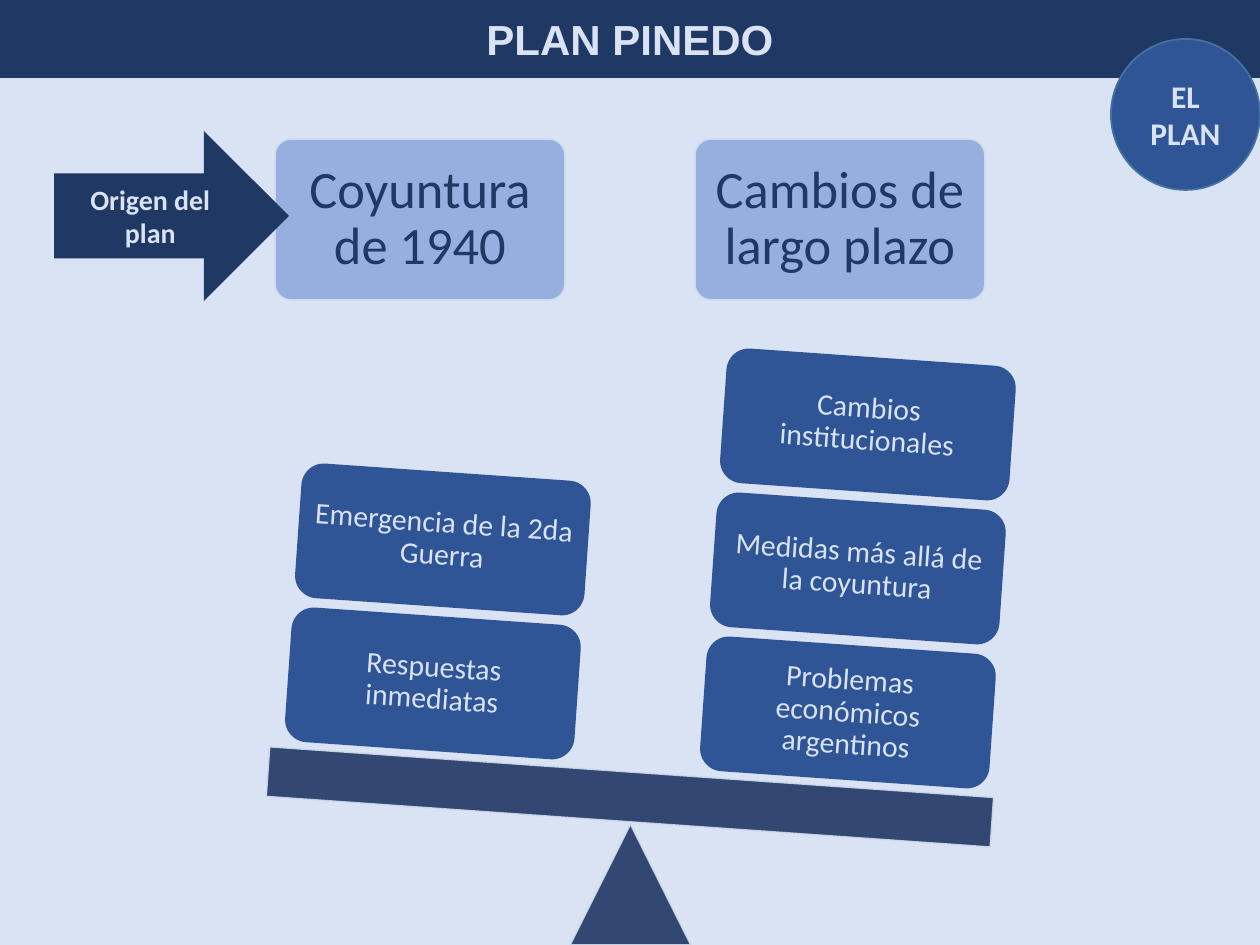
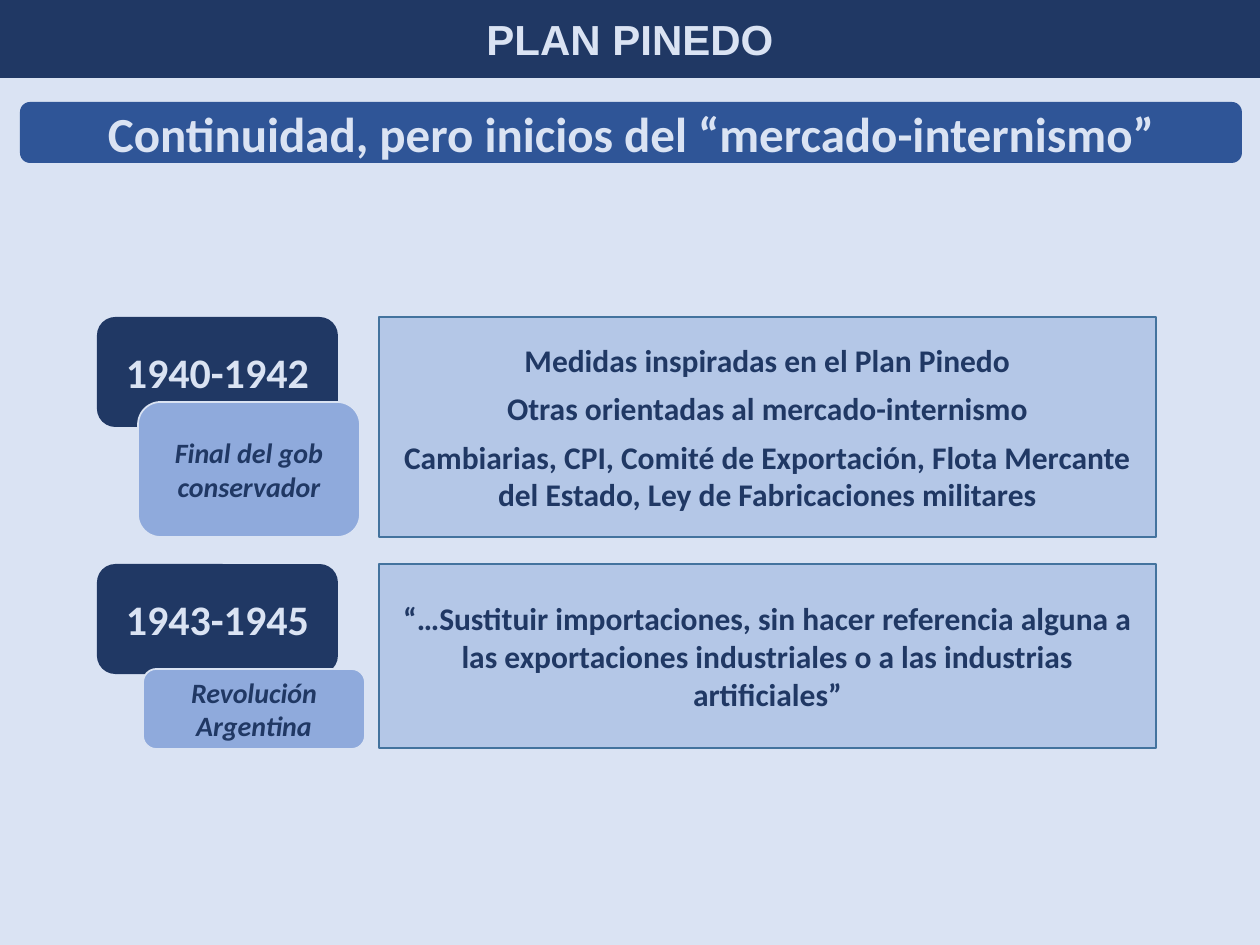
from lxml import etree
from pptx import Presentation
from pptx.dml.color import RGBColor
from pptx.enum.shapes import MSO_SHAPE
from pptx.enum.text import MSO_ANCHOR, MSO_AUTO_SIZE, PP_ALIGN
from pptx.oxml.ns import qn
from pptx.util import Emu, Pt

RECT = MSO_SHAPE.RECTANGLE
ROUND_RECT = MSO_SHAPE.ROUNDED_RECTANGLE
TRIANGLE = MSO_SHAPE.ISOSCELES_TRIANGLE
RIGHT_ARROW = MSO_SHAPE.RIGHT_ARROW
OVAL = MSO_SHAPE.OVAL
MIDDLE = MSO_ANCHOR.MIDDLE
CENTER = PP_ALIGN.CENTER
NO_AUTOFIT = MSO_AUTO_SIZE.NONE

NAVY = RGBColor(0x20, 0x38, 0x64)
BLUE = RGBColor(0x2F, 0x55, 0x97)
SKY = RGBColor(0x8F, 0xAA, 0xDC)
LIGHT = RGBColor(0xB4, 0xC7, 0xE7)
PALE = RGBColor(0xDA, 0xE3, 0xF3)
PALE_EDGE = RGBColor(0xD2, 0xDE, 0xEF)
STEEL = RGBColor(0x43, 0x73, 0x9E)

PX = 914400 / 126
WIDTH, HEIGHT = 1260, 945


def set_text(shape, text, size, color, font="Calibri", bold=True, italic=False,
             inset=(13, 6), line_spacing=None, space_before=0):
    frame = shape.text_frame
    frame.text = text
    frame.word_wrap = True
    frame.auto_size = NO_AUTOFIT
    frame.vertical_anchor = MIDDLE
    frame.margin_left = frame.margin_right = Emu(round(inset[0] * PX))
    frame.margin_top = frame.margin_bottom = Emu(round(inset[1] * PX))
    for i, paragraph in enumerate(frame.paragraphs):
        paragraph.alignment = CENTER
        paragraph.space_before = Pt(space_before if i else 0)
        if line_spacing:
            paragraph.line_spacing = line_spacing
        for run in paragraph.runs:
            run.font.name = font
            run.font.size = Pt(size)
            run.font.bold = bold
            run.font.italic = italic
            run.font.color.rgb = color


def add_block(slide, kind, box, fill, edge=None, opacity=100):
    block = slide.shapes.add_shape(kind, *(Emu(round(n * PX)) for n in box))
    block.shadow.inherit = False
    block.fill.solid()
    block.fill.fore_color.rgb = fill
    if edge:
        block.line.color.rgb = edge
        block.line.width = Pt(1)
    else:
        block.line.fill.background()
    if opacity < 100:
        for color in block._element.spPr.iter(qn("a:srgbClr")):
            etree.SubElement(color, qn("a:alpha"), val=str(opacity * 1000))
    return block


prs = Presentation()
prs.slide_width = Emu(round(WIDTH * PX))
prs.slide_height = Emu(round(HEIGHT * PX))

# Shared background and title band
background = prs.slide_master.background.fill
background.solid()
background.fore_color.rgb = PALE

title_only = prs.slide_layouts[5]
origin_slide = prs.slides.add_slide(title_only)
continuity_slide = prs.slides.add_slide(title_only)
for slide in (origin_slide, continuity_slide):
    title = slide.shapes.title
    title.left, title.top = Emu(0), Emu(0)
    title.width, title.height = prs.slide_width, Emu(round(78 * PX))
    title.fill.solid()
    title.fill.fore_color.rgb = NAVY
    set_text(title, "PLAN PINEDO", 24, PALE, font="Arial")

# Slide 1: headings and the stack of blocks on each side of the balance
TILT = 4
BLOCK_WIDTH, BLOCK_HEIGHT = 290, 135
STEP_X, STEP_Y = 10, 144
balance_sides = [
    ("Coyuntura de 1940", 275, 288, 616,
     ["Respuestas inmediatas", "Emergencia de la 2da Guerra"]),
    ("Cambios de largo plazo", 695, 703, 645,
     ["Problemas económicos argentinos", "Medidas más allá de la coyuntura",
      "Cambios institucionales"]),
]
for heading, heading_left, stack_left, stack_top, weights in balance_sides:
    heading_block = add_block(origin_slide, ROUND_RECT,
                              (heading_left, 139, BLOCK_WIDTH, 161),
                              SKY, PALE_EDGE, 90)
    heading_block.adjustments[0] = 0.1
    set_text(heading_block, heading, 30, NAVY, bold=False, inset=(15, 15),
             line_spacing=0.9)
    for level, weight in enumerate(weights):
        weight_block = add_block(
            origin_slide, ROUND_RECT,
            (stack_left + level * STEP_X, stack_top - level * STEP_Y,
             BLOCK_WIDTH, BLOCK_HEIGHT), BLUE)
        weight_block.rotation = TILT
        set_text(weight_block, weight, 17, PALE, bold=False, inset=(9, 9),
                 line_spacing=0.9)

# Slide 1: fulcrum and beam
add_block(origin_slide, TRIANGLE, (570, 824, 121, 121), NAVY, PALE_EDGE, 90)
beam = add_block(origin_slide, RECT, (267, 772, 726, 50), NAVY, PALE_EDGE, 90)
beam.rotation = TILT

# Slide 1: origin arrow and section badge
origin_arrow = add_block(origin_slide, RIGHT_ARROW, (54, 131, 235, 170), NAVY)
set_text(origin_arrow, "Origen del plan", 16, PALE, inset=(13, 13))
badge = add_block(origin_slide, OVAL, (1111, 39, 149, 151), BLUE, STEEL)
set_text(badge, "EL PLAN", 18, PALE)

# Slide 2: subtitle bar
subtitle = add_block(continuity_slide, ROUND_RECT, (20, 102, 1222, 61), BLUE)
set_text(subtitle, "Continuidad, pero inicios del “mercado-internismo”", 28, PALE)

# Slide 2: one row per period, with its government and its measures
periods = [
    ("1940-1942", 317, 220, "Final del gob conservador", (138, 402, 222, 135),
     "Medidas inspiradas en el Plan Pinedo\n"
     "Otras orientadas al mercado-internismo\n"
     "Cambiarias, CPI, Comité de Exportación, Flota Mercante del Estado, "
     "Ley de Fabricaciones militares"),
    ("1943-1945", 564, 184, "Revolución Argentina", (143, 669, 222, 80),
     "“…Sustituir importaciones, sin hacer referencia alguna a las "
     "exportaciones industriales o a las industrias artificiales”"),
]
for years, top, row_height, government, government_box, measures in periods:
    years_block = add_block(continuity_slide, ROUND_RECT, (97, top, 241, 110), NAVY)
    set_text(years_block, years, 24, PALE)
    government_block = add_block(continuity_slide, ROUND_RECT, government_box,
                                 SKY, PALE)
    set_text(government_block, government, 16, NAVY, italic=True)
    measures_block = add_block(continuity_slide, RECT,
                               (379, top, 777, row_height), LIGHT, STEEL)
    set_text(measures_block, measures, 18, NAVY, space_before=6)

prs.save("out.pptx")
